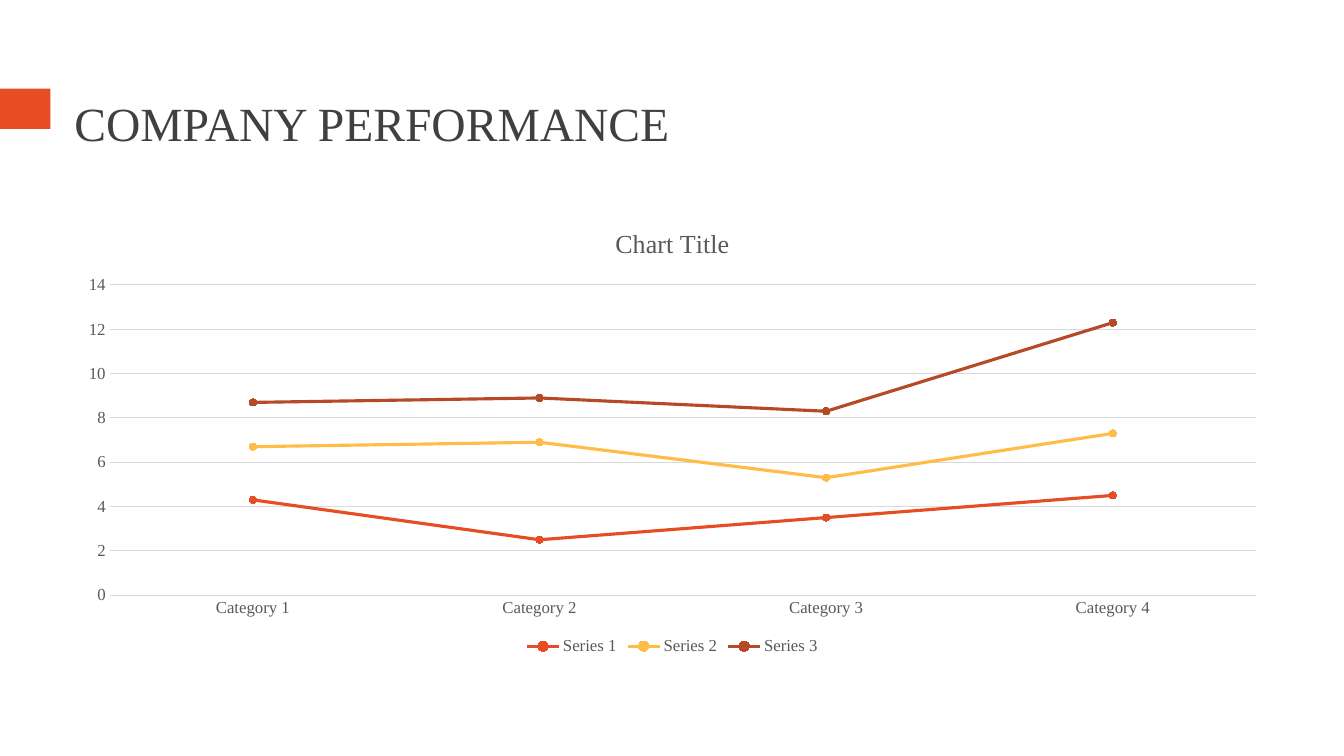
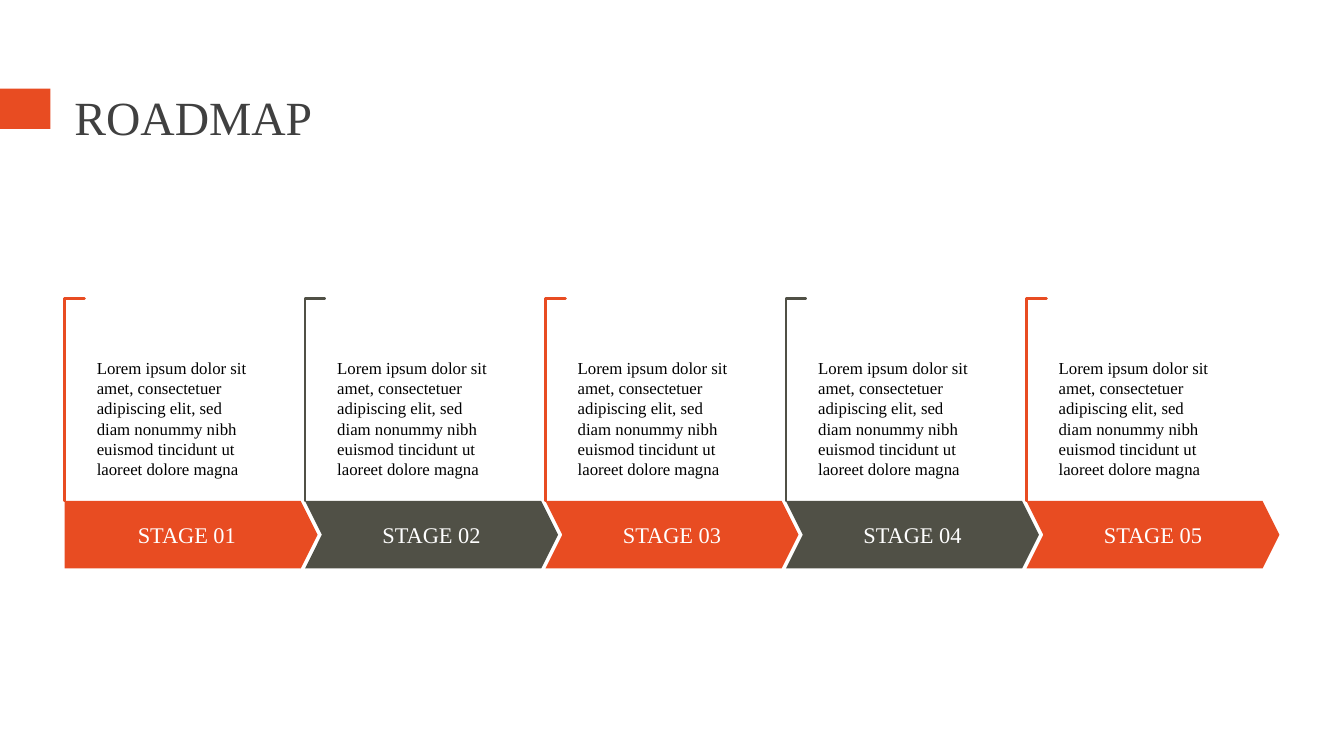
from pptx import Presentation
from pptx.chart.data import CategoryChartData
from pptx.dml.color import RGBColor
from pptx.enum.chart import XL_CHART_TYPE, XL_LEGEND_POSITION, XL_MARKER_STYLE, XL_TICK_MARK
from pptx.enum.shapes import MSO_SHAPE
from pptx.enum.text import MSO_ANCHOR, PP_ALIGN
from pptx.util import Inches, Pt

FONT = "Times New Roman"
COLORS = {
    "orange": "E84C22", "yellow": "FFBD47", "rust": "B64926", "olive": "505046",
    "title": "404040", "label": "595959", "grid": "D9D9D9",
    "black": "000000", "white": "FFFFFF",
}
# Shared boxes: left, top, width, height in inches
BAND = (0, 0.88, 0.5, 0.4)
TITLE = (0.64, 0.77, 12.06, 0.81)
CHART = (0.64, 2.07, 12.06, 4.47)
ROADMAP = (0.64, 2.96, 12.05, 2.68)

CATEGORIES = [f"Category {n}" for n in range(1, 5)]
SERIES = [
    ("Series 1", (4.3, 2.5, 3.5, 4.5), "orange"),
    ("Series 2", (2.4, 4.4, 1.8, 2.8), "yellow"),
    ("Series 3", (2, 2, 3, 5), "rust"),
]
LOREM = ("Lorem ipsum dolor sit amet, consectetuer adipiscing elit, sed diam "
         "nonummy nibh euismod tincidunt ut laoreet dolore magna")
STAGES = [(f"STAGE {n:02}", LOREM) for n in range(1, 6)]


def rgb(name):
    return RGBColor.from_string(COLORS[name])


def set_attrs(obj, formats):
    for name, value in formats.items():
        setattr(obj, name, value)


def set_font(font, size, color):
    set_attrs(font, {"name": FONT, "size": Pt(size), "bold": False})
    font.color.rgb = rgb(color)


def set_line(line, color, width):
    line.color.rgb = rgb(color)
    line.width = Pt(width)


def set_text(sp, text, size, color, insets, anchor=MSO_ANCHOR.TOP, align=PP_ALIGN.LEFT):
    tf = sp.text_frame
    sides = ("margin_left", "margin_top", "margin_right", "margin_bottom")
    set_attrs(tf, {"word_wrap": True, "vertical_anchor": anchor,
                   **dict(zip(sides, map(Inches, insets)))})
    p = tf.paragraphs[0]
    p.alignment = align
    r = p.add_run()
    r.text = text
    set_font(r.font, size, color)


def add_text(s, box, *args, **formats):
    set_text(s.shapes.add_textbox(*map(Inches, box)), *args, **formats)


def add_shape(s, kind, box, fill, adjustments=()):
    sp = s.shapes.add_shape(kind, *map(Inches, box))
    sp.shadow.inherit = False
    sp.fill.solid()
    sp.fill.fore_color.rgb = rgb(fill)
    sp.line.fill.background()
    for i, value in enumerate(adjustments):
        sp.adjustments[i] = value
    return sp


def add_titled_slide(prs, title, anchor):
    s = prs.slides.add_slide(prs.slide_layouts[6])
    add_shape(s, MSO_SHAPE.RECTANGLE, BAND, "orange")
    add_text(s, TITLE, title, 34, "title", (0.1, 0.1, 0.1, 0.02), anchor=anchor)
    return s


def add_performance_chart(s, box):
    data = CategoryChartData()
    data.categories = CATEGORIES
    for name, values, _ in SERIES:
        data.add_series(name, values)
    chart = s.shapes.add_chart(XL_CHART_TYPE.LINE_MARKERS_STACKED,
                               *map(Inches, box), data).chart
    set_font(chart.font, 10, "black")

    # Title and legend
    chart.has_title = True
    r = chart.chart_title.text_frame.paragraphs[0].add_run()
    r.text = "Chart Title"
    set_font(r.font, 18.6, "label")
    chart.chart_title.include_in_layout = False
    chart.has_legend = True
    set_attrs(chart.legend, {"position": XL_LEGEND_POSITION.BOTTOM,
                             "include_in_layout": False})
    set_font(chart.legend.font, 12, "label")

    # Axes
    for axis in (chart.category_axis, chart.value_axis):
        set_attrs(axis, {"major_tick_mark": XL_TICK_MARK.NONE,
                         "minor_tick_mark": XL_TICK_MARK.NONE})
        set_font(axis.tick_labels.font, 12, "label")
    set_line(chart.category_axis.format.line, "grid", 0.75)
    chart.value_axis.format.line.fill.background()
    chart.value_axis.has_major_gridlines = True
    set_line(chart.value_axis.major_gridlines.format.line, "grid", 0.75)

    # Series
    plot = chart.plots[0]
    plot.vary_by_categories = False
    for series, (_, _, color) in zip(plot.series, SERIES):
        series.smooth = False
        set_line(series.format.line, color, 2.25)
        set_attrs(series.marker, {"style": XL_MARKER_STYLE.CIRCLE, "size": 5})
        fmt = series.marker.format
        fmt.fill.solid()
        fmt.fill.fore_color.rgb = rgb(color)
        set_line(fmt.line, color, 0.75)


def add_stage(s, box, kind, color, label, text):
    left, top, width, height = box
    arrow_h = 0.67
    bracket_w, bracket_h = 0.2, height - arrow_h

    # Bracket: a corner shape turned a quarter about its centre
    offset = (bracket_h - bracket_w) / 2
    bracket = add_shape(s, MSO_SHAPE.CORNER,
                        (left - offset, top + offset, bracket_h, bracket_w),
                        "white", (0.01, 0.01))
    bracket.rotation = 90
    set_line(bracket.line, color, 1.75)

    # Arrow with its label
    arrow = add_shape(s, kind, (left, top + bracket_h, width, arrow_h), color, (0.25,))
    set_text(arrow, label, 16, "white", (0.11, 0.22, 0.11, 0.22),
             anchor=MSO_ANCHOR.MIDDLE, align=PP_ALIGN.CENTER)

    # Description
    add_text(s, (left + bracket_w, top + 0.12, 2.04, 1.31), text, 12, "black",
             (0.12, 0.47, 0.31, 0))


def add_roadmap(s, box):
    left, top, width, height = box
    stage_w = 2.51
    pitch = (width - stage_w) / (len(STAGES) - 1)
    for i, (label, text) in enumerate(STAGES):
        kind = MSO_SHAPE.CHEVRON if i else MSO_SHAPE.PENTAGON
        color = ("orange", "olive")[i % 2]
        add_stage(s, (left + i * pitch, top, stage_w, height), kind, color, label, text)


def main():
    prs = Presentation()
    set_attrs(prs, {"slide_width": Inches(13.33), "slide_height": Inches(7.5)})
    s = add_titled_slide(prs, "COMPANY PERFORMANCE", MSO_ANCHOR.MIDDLE)
    add_performance_chart(s, CHART)
    s = add_titled_slide(prs, "ROADMAP", MSO_ANCHOR.TOP)
    add_roadmap(s, ROADMAP)
    prs.save("out.pptx")


if __name__ == "__main__":
    main()
